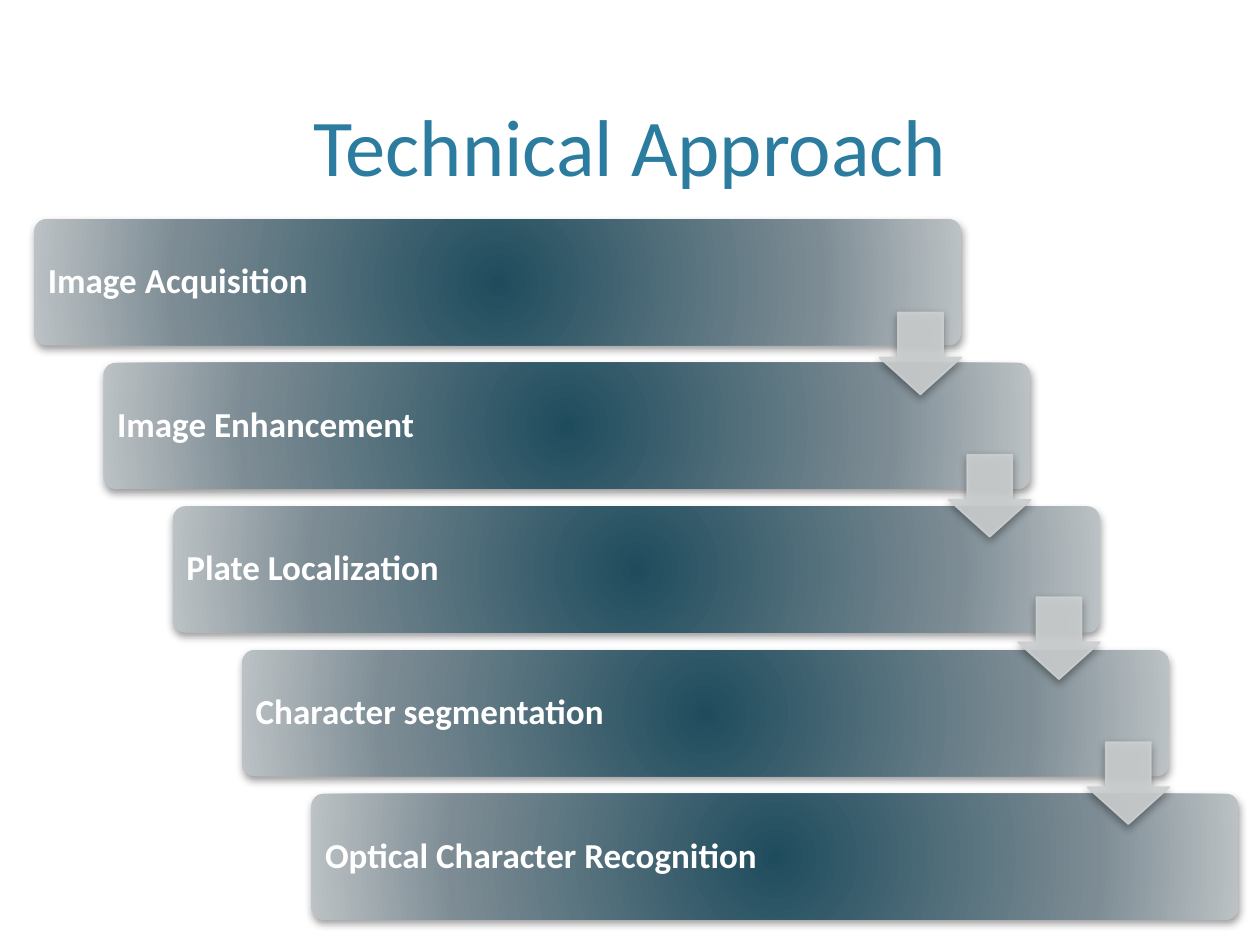
import dataclasses

import lxml.etree
import pptx
import pptx.dml.color
import pptx.enum.shapes
import pptx.enum.text
import pptx.oxml
import pptx.oxml.ns
import pptx.util


@dataclasses.dataclass
class Theme:
    font: str = "Calibri"
    title: str = "2C7C9F"
    text: str = "FFFFFF"
    arrow: str = "CDD0D1"
    stops: tuple = ((0, "1F4C5D"), (69, "7D8C94"), (100, "BCC2C5"))
    big: int = 46
    small: int = 20


theme = Theme()
PX = 9144  # EMU per px, 100 px to the inch
NS = pptx.oxml.ns.nsdecls("a")
RGB = pptx.dml.color.RGBColor.from_string
KIND = pptx.enum.shapes.MSO_SHAPE
ANCHOR = pptx.enum.text.MSO_ANCHOR
ALIGN = pptx.enum.text.PP_ALIGN


def write(para, text, size, color, bold):
    run = para.add_run()
    run.text = text
    run.font.name = theme.font
    run.font.size = pptx.util.Pt(size)
    run.font.color.rgb = RGB(color)
    run.font.bold = bold


def shade(shape):
    shape._element.spPr.append(pptx.oxml.parse_xml(
        f'<a:effectLst {NS}><a:outerShdw blurRad="63500" dist="25400" '
        'dir="5400000" rotWithShape="0"><a:srgbClr val="000000">'
        '<a:alpha val="40000"/></a:srgbClr></a:outerShdw></a:effectLst>'))


deck = pptx.Presentation()
deck.slide_width, deck.slide_height = 1000 * PX, 750 * PX
slide = deck.slides.add_slide(deck.slide_layouts[5])
shapes = slide.shapes

# Title
title = shapes.title
title.left, title.top = 60 * PX, 12 * PX
title.width, title.height = 880 * PX, 146 * PX
frame = title.text_frame
frame.vertical_anchor = ANCHOR.BOTTOM
frame.paragraphs[0].alignment = ALIGN.CENTER
write(frame.paragraphs[0], "Technical Approach", theme.big, theme.title, False)

# Staircase of steps
stops = "".join(
    f'<a:gs pos="{pos * 1000}"><a:srgbClr val="{color}"/></a:gs>'
    for pos, color in theme.stops)
grad = (f'<a:gradFill {NS} rotWithShape="1"><a:gsLst>{stops}</a:gsLst>'
        '<a:path path="circle"><a:fillToRect l="100000" t="100000" '
        'r="100000" b="100000"/></a:path></a:gradFill>')
steps = ["Image Acquisition", "Image Enhancement", "Plate Localization",
         "Character segmentation", "Optical Character Recognition"]
for i, step in enumerate(steps):
    left, top = 27 + 55 * i, 174 + 114 * i
    bar = shapes.add_shape(KIND.ROUNDED_RECTANGLE, left * PX, top * PX,
                           736 * PX, 100 * PX)
    bar.adjustments[0] = 0.1
    bar.fill.background()
    bar.line.fill.background()
    props = bar._element.spPr
    props.replace(props.find(pptx.oxml.ns.qn("a:noFill")),
                  pptx.oxml.parse_xml(grad))
    shade(bar)

    label = shapes.add_textbox((left + 3) * PX, (top + 3) * PX,
                               610 * PX, 94 * PX)
    frame = label.text_frame
    frame.word_wrap = True
    frame.vertical_anchor = ANCHOR.MIDDLE
    frame.margin_left = frame.margin_right = 8 * PX
    frame.margin_top = frame.margin_bottom = 8 * PX
    para = frame.paragraphs[0]
    para.alignment = ALIGN.LEFT
    para.line_spacing = 0.9
    para.space_after = pptx.util.Pt(7)
    write(para, step, theme.small, theme.text, True)

# Arrows from each step to the next
for i, top in enumerate([248, 361, 474, 589]):
    arrow = shapes.add_shape(KIND.DOWN_ARROW, (698 + 55 * i) * PX, top * PX,
                             65 * PX, 65 * PX)
    arrow.adjustments[0], arrow.adjustments[1] = 0.55, 0.45
    arrow.fill.solid()
    arrow.fill.fore_color.rgb = RGB(theme.arrow)
    arrow.line.color.rgb = RGB(theme.arrow)
    arrow.line.width = pptx.util.Pt(1)
    for color in arrow._element.spPr.iter(pptx.oxml.ns.qn("a:srgbClr")):
        alpha = lxml.etree.SubElement(color, pptx.oxml.ns.qn("a:alpha"))
        alpha.set("val", "90000")
    shade(arrow)

deck.save("out.pptx")
